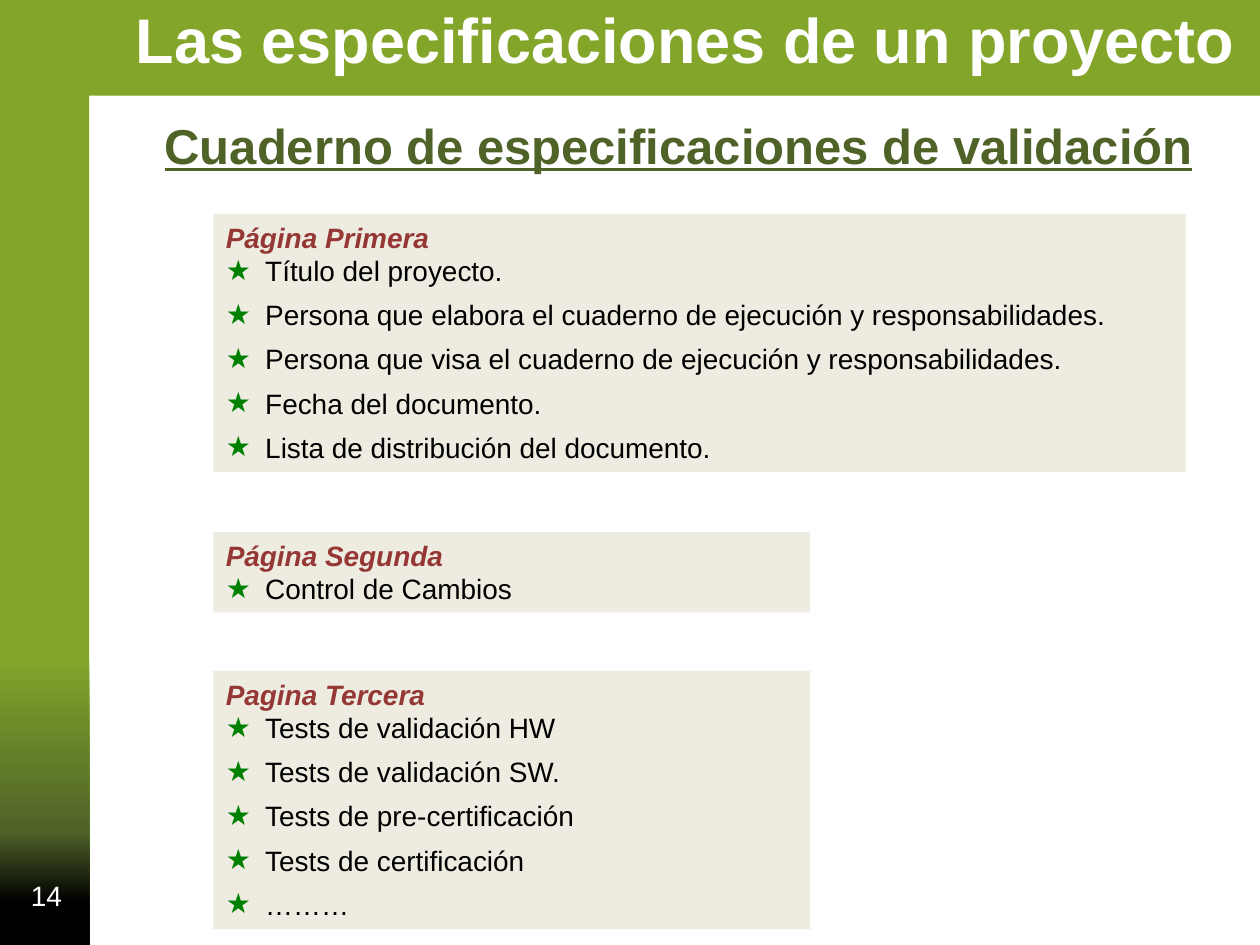
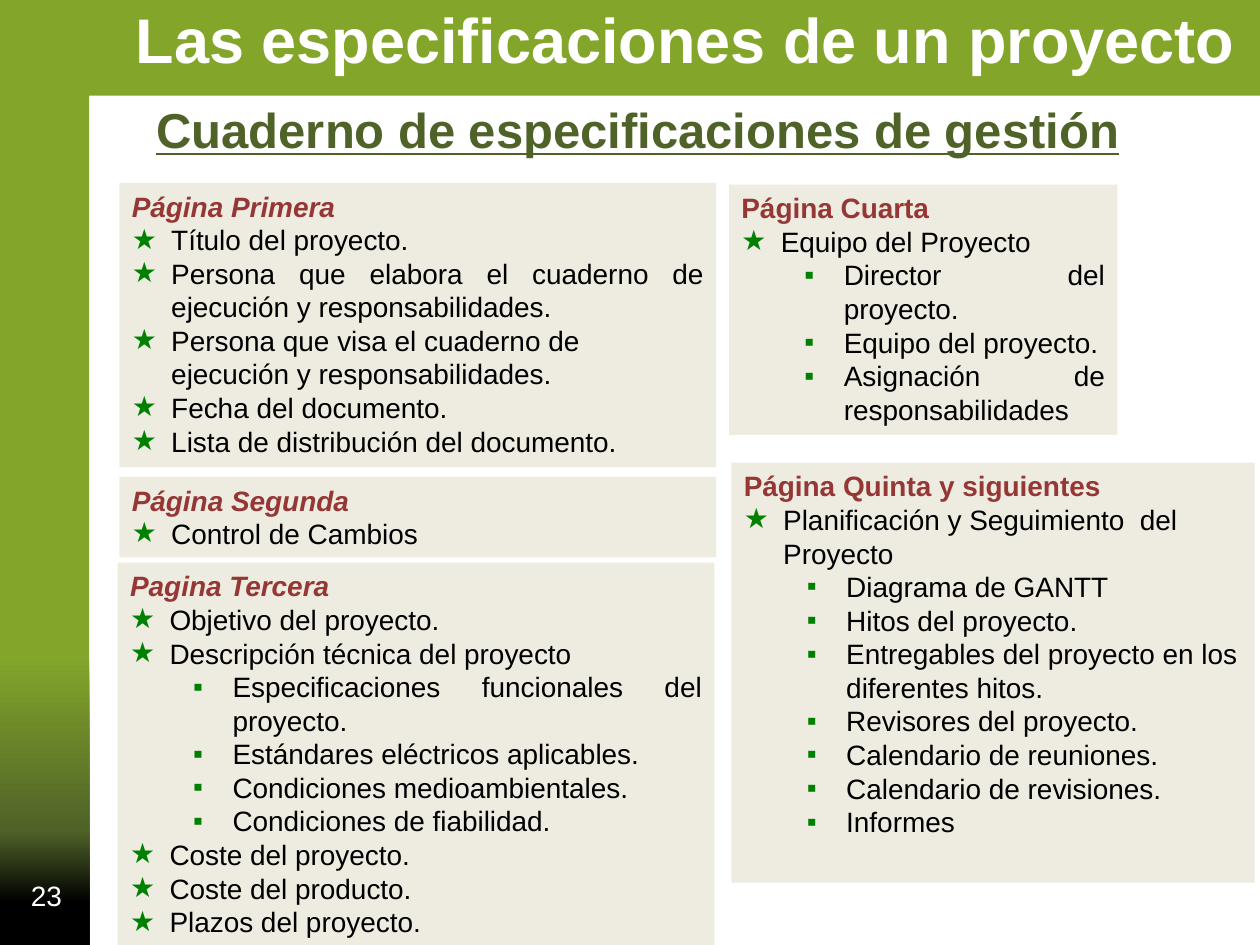
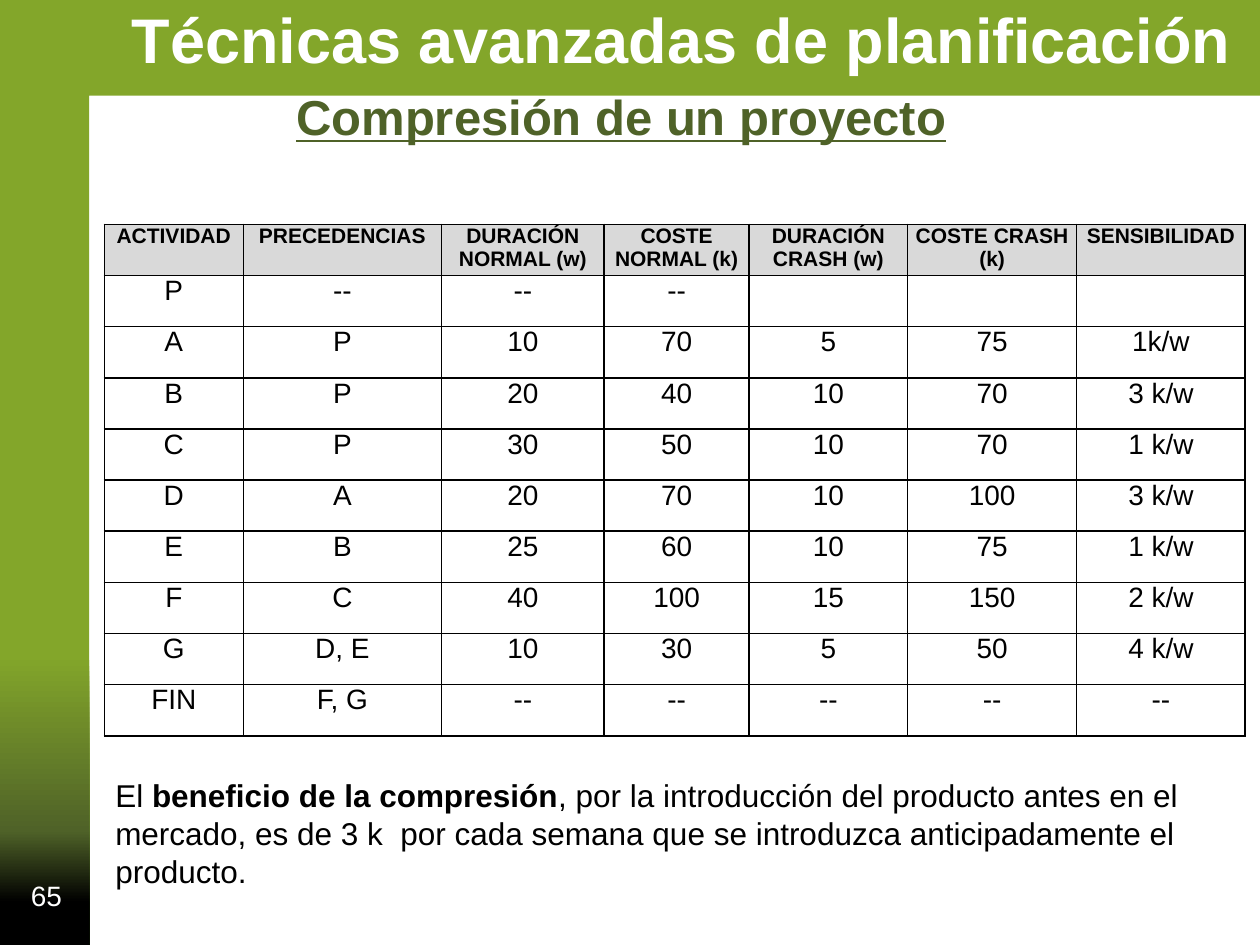
from dataclasses import dataclass

from lxml.etree import SubElement
from pptx import Presentation
from pptx.dml.color import RGBColor
from pptx.enum.shapes import MSO_SHAPE
from pptx.enum.text import MSO_ANCHOR, MSO_AUTO_SIZE, PP_ALIGN
from pptx.oxml import parse_xml
from pptx.oxml.ns import nsdecls, qn
from pptx.util import Pt


@dataclass(frozen=True)
class Theme:
    font: str = "Arial"
    green: str = "83A62A"
    olive: str = "4F6228"
    bullet: str = "008000"
    heading: str = "953735"
    panel: str = "EEECE1"
    header: str = "D9D9D9"
    black: str = "000000"
    white: str = "FFFFFF"
    title_size: int = 36
    subtitle_size: int = 28
    note_size: int = 18
    body_size: int = 16
    header_size: int = 12


theme = Theme()


def add_run(paragraph, text, size, color, bold=False, italic=False, underline=False):
    run = paragraph.add_run()
    run.text = text
    font = run.font
    font.name, font.size = theme.font, Pt(size)
    font.bold, font.italic, font.underline = bold, italic, underline
    font.color.rgb = RGBColor.from_string(color)


def add_label(slide, box, wrap=False):
    """Add an empty text box and return its frame."""
    frame = slide.shapes.add_textbox(*map(Pt, box)).text_frame
    frame.word_wrap = wrap
    frame.auto_size = MSO_AUTO_SIZE.SHAPE_TO_FIT_TEXT
    return frame


prs = Presentation()
prs.slide_width, prs.slide_height = Pt(720), Pt(540)

# Frame shared by all slides: band, title, subtitle and page number
SPECS = "Las especificaciones de un proyecto"
pages = [
    (SPECS, 70.5, "Cuaderno de especificaciones de validación", (87, 62.5, 609, 41), "14"),
    (SPECS, 70.5, "Cuaderno de especificaciones de gestión", (82.3, 53.5, 572, 41), "23"),
    ("Técnicas avanzadas de planificación", 68.3,
     "Compresión de un proyecto", (162.3, 46, 390, 41), "65"),
]
band_stops = [(0, theme.black), (9, theme.black), (24, theme.olive),
              (61, theme.green), (100, theme.green)]
stops_xml = "".join(
    f'<a:gs pos="{position * 1000}"><a:srgbClr val="{color}"/></a:gs>'
    for position, color in band_stops)

slides = []
for title, title_left, subtitle, subtitle_box, number in pages:
    slide = prs.slides.add_slide(prs.slide_layouts[6])
    slides.append(slide)

    band = slide.shapes.add_shape(MSO_SHAPE.CORNER, Pt(87.1), Pt(-92.9), Pt(542.9), Pt(722.9))
    band.rotation = 90
    band.adjustments[0], band.adjustments[1] = 0.099, 0.106
    band.shadow.inherit = False
    band.line.fill.background()
    band_outline = band._element.spPr.find(qn("a:ln"))
    band_outline.addprevious(parse_xml(
        f'<a:gradFill {nsdecls("a")} rotWithShape="0"><a:gsLst>{stops_xml}</a:gsLst>'
        '<a:path path="rect"><a:fillToRect t="100000" r="100000"/></a:path></a:gradFill>'))

    title_frame = add_label(slide, (title_left, -3, 649, 51))
    add_run(title_frame.paragraphs[0], title, theme.title_size, theme.white, bold=True)
    subtitle_frame = add_label(slide, subtitle_box)
    add_run(subtitle_frame.paragraphs[0], subtitle, theme.subtitle_size, theme.olive,
            bold=True, underline=True)

    number_frame = add_label(slide, (1.5, 497, 41, 28.75), wrap=True)
    number_frame.auto_size = MSO_AUTO_SIZE.NONE
    number_frame.vertical_anchor = MSO_ANCHOR.MIDDLE
    number_frame.paragraphs[0].alignment = PP_ALIGN.RIGHT
    add_run(number_frame.paragraphs[0], number, theme.body_size, theme.white)

validation, management, compression = slides

# Notebook pages: nested tuples hold second-level items
AUTHOR = "Persona que elabora el cuaderno de ejecución y responsabilidades."
first_page = ("Título del proyecto.", AUTHOR,
              "Persona que visa el cuaderno de ejecución y responsabilidades.",
              "Fecha del documento.", "Lista de distribución del documento.")
second_page = ("Control de Cambios",)
validation_tests = ("Tests de validación HW", "Tests de validación SW.",
                    "Tests de pre-certificación", "Tests de certificación", "………")
project_scope = (
    "Objetivo del proyecto.", "Descripción técnica del proyecto",
    ("Especificaciones funcionales del proyecto.", "Estándares eléctricos aplicables.",
     "Condiciones medioambientales.", "Condiciones de fiabilidad."),
    "Coste del proyecto.", "Coste del producto.", "Plazos del proyecto.")
team = ("Equipo del Proyecto",
        ("Director del proyecto.", "Equipo del proyecto.", "Asignación de responsabilidades"))
planning = (
    "Planificación y Seguimiento  del Proyecto",
    ("Diagrama de GANTT", "Hitos del proyecto.",
     "Entregables del proyecto en los diferentes hitos.", "Revisores del proyecto.",
     "Calendario de reuniones.", "Calendario de revisiones.", "Informes"))

# slide, box, heading, italic heading, justified, space after items, items
panels = [
    (validation, (122, 122.3, 555.6, 147.5), "Página Primera", True, False, 6, first_page),
    (validation, (122, 383.4, 341, 147.5), "Pagina Tercera", True, True, 6, validation_tests),
    (validation, (122, 304, 341, 46), "Página Segunda", True, False, 0, second_page),
    (management, (68.3, 104.5, 341, 162.5), "Página Primera", True, False, 0, first_page),
    (management, (67.3, 321.6, 341, 220.3), "Pagina Tercera", True, True, 0, project_scope),
    (management, (68.3, 272.5, 341, 46), "Página Segunda", True, False, 0, second_page),
    (management, (416.6, 105.5, 222, 143), "Página Cuarta", False, True, 0, team),
    (management, (418, 264.4, 299, 240), "Página Quinta y siguientes", False, False, 0, planning),
]
for slide, box, heading, italic, justified, gap, items in panels:
    panel = slide.shapes.add_shape(MSO_SHAPE.RECTANGLE, *map(Pt, box))
    panel.shadow.inherit = False
    panel.fill.solid()
    panel.fill.fore_color.rgb = RGBColor.from_string(theme.panel)
    panel.line.fill.background()
    frame = panel.text_frame
    frame.word_wrap = True
    frame.vertical_anchor = MSO_ANCHOR.TOP
    heading_line = frame.paragraphs[0]
    heading_line.alignment = PP_ALIGN.LEFT
    add_run(heading_line, heading, theme.body_size, theme.heading, bold=True, italic=italic)

    for entry in items:
        nested = isinstance(entry, tuple)
        for text in entry if nested else (entry,):
            item = frame.add_paragraph()
            item.level = int(nested)
            item.alignment = PP_ALIGN.JUSTIFY if justified or text == AUTHOR else PP_ALIGN.LEFT
            props = item._p.get_or_add_pPr()
            props.set("marL", str(Pt(58.5 if nested else 22.5)))
            props.set("indent", str(Pt(-22.5)))
            bullet_color = SubElement(props, qn("a:buClr"))
            SubElement(bullet_color, qn("a:srgbClr"), val=theme.bullet)
            SubElement(props, qn("a:buFont"), typeface=theme.font)
            SubElement(props, qn("a:buChar"), char="▪" if nested else "★")
            item.space_after = Pt(gap)
            add_run(item, text, theme.body_size, theme.black)

# Activity table
activities = [
    ("ACTIVIDAD", "PRECEDENCIAS", "DURACIÓN NORMAL (w)", "COSTE NORMAL (k)",
     "DURACIÓN CRASH (w)", "COSTE CRASH (k)", "SENSIBILIDAD"),
    ("P", "--", "--", "--", "", "", ""),
    ("A", "P", "10", "70", "5", "75", "1k/w"),
    ("B", "P", "20", "40", "10", "70", "3 k/w"),
    ("C", "P", "30", "50", "10", "70", "1 k/w"),
    ("D", "A", "20", "70", "10", "100", "3 k/w"),
    ("E", "B", "25", "60", "10", "75", "1 k/w"),
    ("F", "C", "40", "100", "15", "150", "2 k/w"),
    ("G", "D, E", "10", "30", "5", "50", "4 k/w"),
    ("FIN", "F, G", "--", "--", "--", "--", "--"),
]
column_widths = [79.4, 113.3, 93, 82.8, 90.6, 96.6, 96.3]
row_height = 29.25
activity_table = compression.shapes.add_table(
    len(activities), len(column_widths), Pt(59.6), Pt(128.2),
    Pt(sum(column_widths)), Pt(row_height * len(activities))).table
activity_table.first_row = activity_table.horz_banding = False
for column, width in zip(activity_table.columns, column_widths):
    column.width = Pt(width)
for row_index, values in enumerate(activities):
    is_header = row_index == 0
    activity_table.rows[row_index].height = Pt(row_height)
    for column_index, value in enumerate(values):
        cell = activity_table.cell(row_index, column_index)
        cell.margin_left = cell.margin_right = Pt(3.6)
        cell.margin_top = cell.margin_bottom = 0
        cell_props = cell._tc.get_or_add_tcPr()
        for side in ("lnL", "lnR", "lnT", "lnB"):
            border = SubElement(cell_props, qn(f"a:{side}"), w=str(Pt(1)))
            border_fill = SubElement(border, qn("a:solidFill"))
            SubElement(border_fill, qn("a:srgbClr"), val=theme.black)
        cell.fill.solid()
        cell.fill.fore_color.rgb = RGBColor.from_string(
            theme.header if is_header else theme.white)
        if value:
            entry_line = cell.text_frame.paragraphs[0]
            entry_line.alignment = PP_ALIGN.CENTER
            add_run(entry_line, value, theme.header_size if is_header else theme.body_size,
                    theme.black, bold=is_header)

benefit = add_label(compression, (58.8, 440, 656.6, 72.7), wrap=True).paragraphs[0]
for text, bold in [
    ("El ", False),
    ("beneficio de la compresión", True),
    (", por la introducción del producto antes en el mercado, es de 3 k  por cada semana "
     "que se introduzca anticipadamente el producto.", False),
]:
    add_run(benefit, text, theme.note_size, theme.black, bold=bold)

prs.save("out.pptx")
